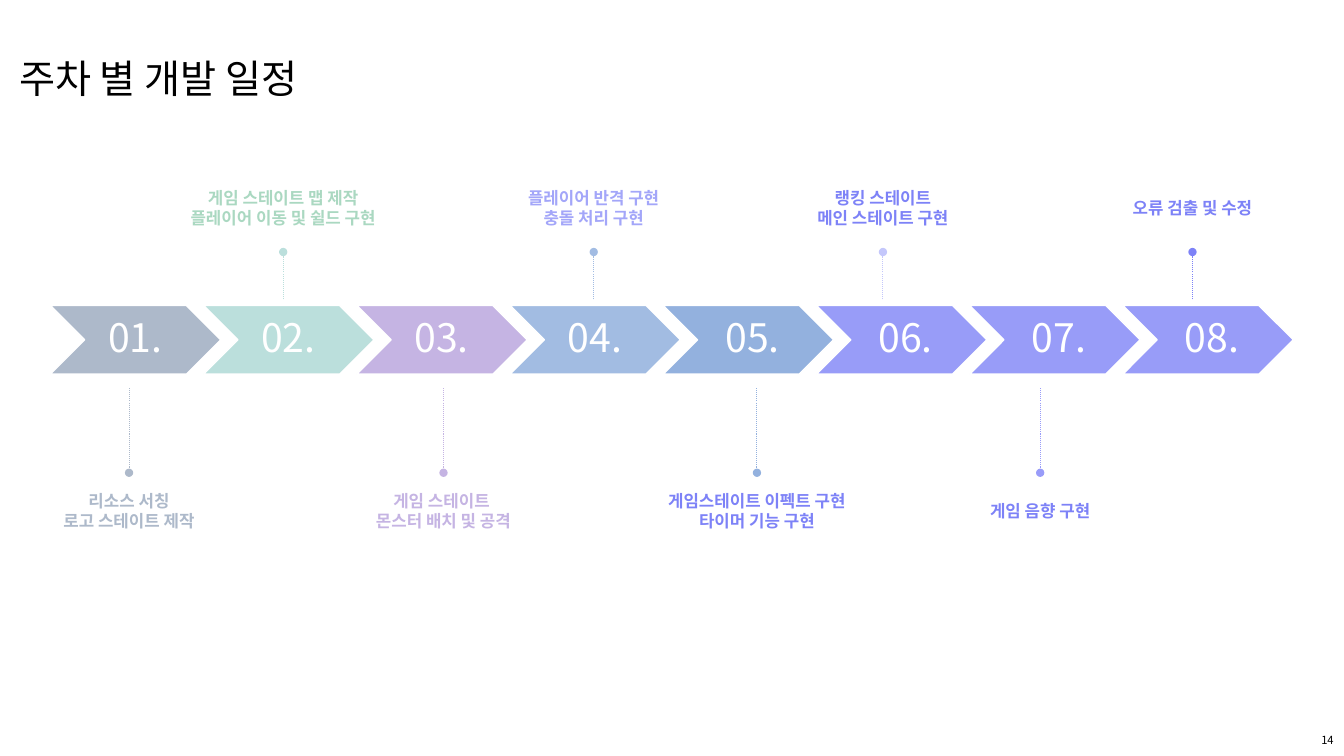
from dataclasses import dataclass
from lxml import etree
from pptx import Presentation
from pptx.dml.color import RGBColor
from pptx.enum.dml import MSO_LINE
from pptx.enum.shapes import MSO_CONNECTOR, MSO_SHAPE
from pptx.enum.text import MSO_ANCHOR, MSO_AUTO_SIZE, PP_ALIGN
from pptx.oxml.ns import qn
from pptx.util import Pt

CHEVRON = MSO_SHAPE.CHEVRON
STRAIGHT = MSO_CONNECTOR.STRAIGHT
DOTTED = MSO_LINE.ROUND_DOT
LEFT, CENTER, RIGHT = PP_ALIGN.LEFT, PP_ALIGN.CENTER, PP_ALIGN.RIGHT
TOP, MIDDLE, BOTTOM = MSO_ANCHOR.TOP, MSO_ANCHOR.MIDDLE, MSO_ANCHOR.BOTTOM
NO_FIT = MSO_AUTO_SIZE.NONE


@dataclass(frozen=True)
class Theme:
    font: str = "Noto Sans CJK KR"
    ink: str = "000000"
    paper: str = "FFFFFF"
    gray: str = "ADB9CA"
    mint: str = "BBDFDC"
    green: str = "AAD8C1"
    lilac: str = "C5B4E3"
    blue: str = "93B1DE"
    light_blue: str = "A2BCE3"
    violet: str = "7D82F7"
    mid_violet: str = "999CF9"
    soft_violet: str = "A3A6F9"
    pale_violet: str = "C4C7FB"
    heading: float = 28
    label: float = 12
    page: float = 8


T = Theme()

# chevron colour, opacity %, stem x, stem colour, label colour, label width, label lines
WEEKS = [
    (T.gray, 100, 92.2, T.gray, T.gray, 120.2, ["리소스 서칭", "로고 스테이트 제작"]),
    (T.mint, 100, 202.3, T.mint, T.green, 164.9, ["게임 스테이트 맵 제작", "플레이어 이동 및 쉴드 구현"]),
    (T.lilac, 100, 316.8, T.lilac, T.lilac, 124.6, ["게임 스테이트 ", "몬스터 배치 및 공격"]),
    (T.blue, 86, 424.1, T.light_blue, T.soft_violet, 120.2, ["플레이어 반격 구현", "충돌 처리 구현"]),
    (T.blue, 100, 540.7, T.blue, T.violet, 156.2, ["게임스테이트 이펙트 구현", "타이머 기능 구현"]),
    (T.violet, 79, 630.7, T.pale_violet, T.violet, 120.2, ["랭킹 스테이트", "메인 스테이트 구현"]),
    (T.violet, 79, 743, T.mid_violet, T.violet, 95.8, ["게임 음향 구현"]),
    (T.violet, 79, 851.8, T.violet, T.violet, 112.3, ["오류 검출 및 수정"]),
]
CHEVRON_LEFT, CHEVRON_TOP, CHEVRON_PITCH = 36, 218.2, 109.44
CHEVRON_W, CHEVRON_H = 121.7, 49
NUMBER_INSET, NUMBER_W = 24.5, 72.7
# stem start, stem end, label middle
ABOVE, BELOW = (213.8, 180, 148.3), (277.2, 337.7, 365)


def rgb(value):
    return RGBColor.from_string(value)


class Builder:
    def __init__(self, slide, theme):
        self.s, self.theme = slide, theme

    def set_text(self, sp, lines, size, color, bold=False, frame=None, para=None):
        tf = sp.text_frame
        frame = {"auto_size": NO_FIT, "word_wrap": True, **(frame or {})}
        for name, value in frame.items():
            setattr(tf, name, value)
        for i, line in enumerate(lines):
            p = tf.add_paragraph() if i else tf.paragraphs[0]
            for name, value in (para or {}).items():
                setattr(p, name, value)
            r = p.add_run()
            r.text = line
            font = {"name": self.theme.font, "size": Pt(size), "bold": bold}
            for name, value in font.items():
                setattr(r.font, name, value)
            r.font.color.rgb = rgb(color)
            east_asian = etree.SubElement(r.font._element, qn("a:ea"))
            east_asian.set("typeface", self.theme.font)

    def title(self, text, x, y, w, h):
        sp = self.s.shapes.title
        box = {"left": x, "top": y, "width": w, "height": h}
        for name, value in box.items():
            setattr(sp, name, Pt(value))
        self.set_text(sp, [text], self.theme.heading, self.theme.ink,
                      frame={"vertical_anchor": TOP},
                      para={"alignment": LEFT, "line_spacing": 0.9, "space_before": Pt(10)})

    def text(self, lines, x, y, w, h, size, color, **style):
        sp = self.s.shapes.add_textbox(Pt(x), Pt(y), Pt(w), Pt(h))
        self.set_text(sp, lines, size, color, **style)

    def chevron(self, x, y, w, h, color, opacity):
        sp = self.s.shapes.add_shape(CHEVRON, Pt(x), Pt(y), Pt(w), Pt(h))
        sp.shadow.inherit = False
        sp.fill.solid()
        sp.fill.fore_color.rgb = rgb(color)
        sp.line.color.rgb = rgb(self.theme.paper)
        sp.line.width = Pt(1)
        if opacity < 100:
            fill = sp._element.spPr.find(qn("a:solidFill"))
            etree.SubElement(fill[0], qn("a:alpha")).set("val", str(opacity * 1000))

    def stem(self, x, start, end, color):
        """Dotted vertical line with a round dot at its end."""
        line = self.s.shapes.add_connector(STRAIGHT, Pt(x), Pt(start), Pt(x), Pt(end))
        line.line.color.rgb = rgb(color)
        line.line.width = Pt(0.75)
        line.line.dash_style = DOTTED
        ln = line._element.spPr.find(qn("a:ln"))
        etree.SubElement(ln, qn("a:tailEnd")).set("type", "oval")
        etree.SubElement(line._element.spPr, qn("a:effectLst"))


def add_week(b, index, week):
    fill, opacity, stem_x, stem_color, label_color, label_w, lines = week
    x = CHEVRON_LEFT + index * CHEVRON_PITCH
    b.chevron(x, CHEVRON_TOP, CHEVRON_W, CHEVRON_H, fill, opacity)
    number = f"{index + 1:02}." + (" " if index < 4 else "")
    b.text([number], x + NUMBER_INSET, CHEVRON_TOP, NUMBER_W, CHEVRON_H,
           T.heading, T.paper,
           frame={"vertical_anchor": MIDDLE, "margin_left": Pt(8.6), "margin_right": Pt(2.9),
                  "margin_top": Pt(2.9), "margin_bottom": Pt(2.9)},
           para={"alignment": CENTER, "line_spacing": 0.9})
    start, end, middle = ABOVE if index % 2 else BELOW
    b.stem(stem_x, start, end, stem_color)
    h = 7.2 + 14.4 * len(lines)
    b.text(lines, stem_x - label_w / 2, middle - h / 2, label_w, h,
           T.label, label_color, bold=True,
           frame={"vertical_anchor": MIDDLE, "word_wrap": False},
           para={"alignment": CENTER})


def main():
    prs = Presentation()
    prs.slide_width, prs.slide_height = Pt(960), Pt(540)
    b = Builder(prs.slides.add_slide(prs.slide_layouts[5]), T)
    b.title("주차 별 개발 일정", 6.5, 38.9, 276.5, 26.6)
    for index, week in enumerate(WEEKS):
        add_week(b, index, week)
    b.text(["14"], 743.8, 508.3, 216, 28.8, T.page, T.ink,
           frame={"vertical_anchor": BOTTOM}, para={"alignment": RIGHT})
    prs.save("out.pptx")


if __name__ == "__main__":
    main()
